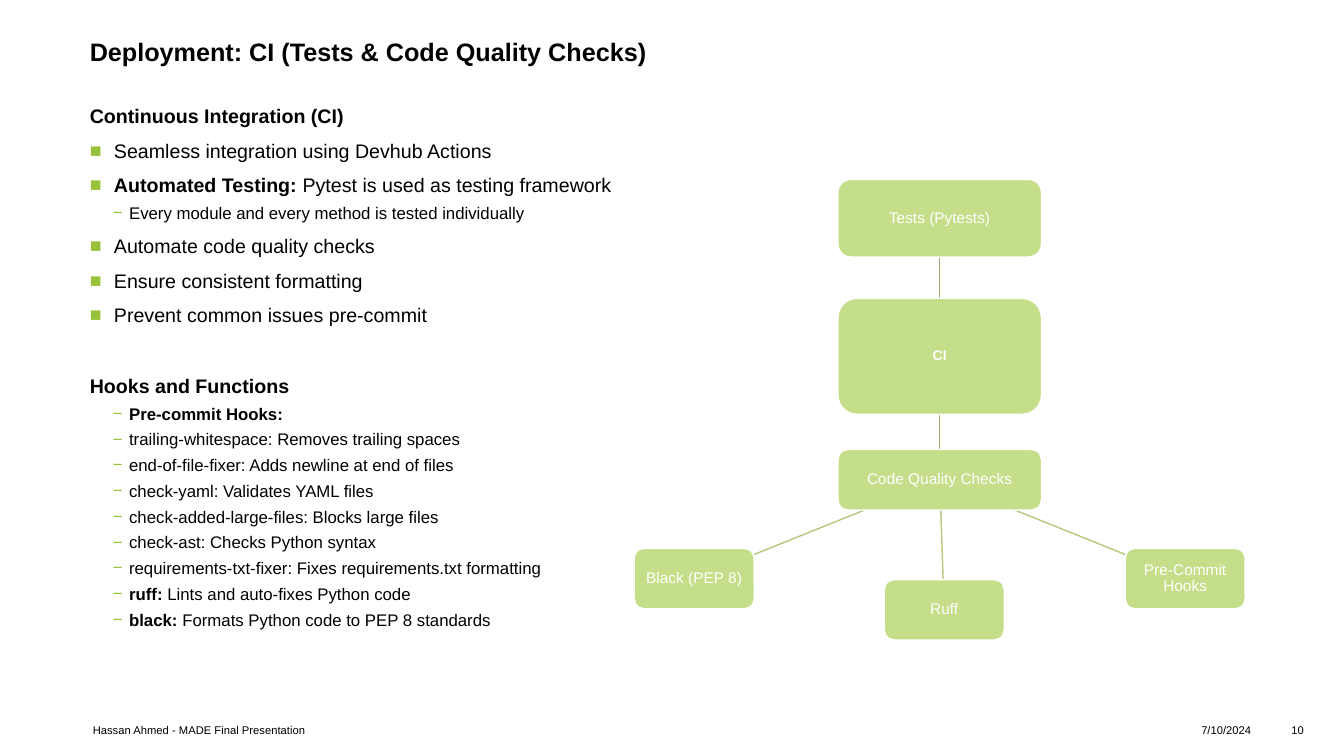
from lxml import etree
from pptx import Presentation
from pptx.dml.color import RGBColor
from pptx.enum.shapes import MSO_CONNECTOR, MSO_SHAPE
from pptx.enum.text import MSO_ANCHOR, MSO_AUTO_SIZE, PP_ALIGN
from pptx.oxml.ns import qn
from pptx.util import Inches, Pt

LEFT, CENTER, RIGHT = PP_ALIGN.LEFT, PP_ALIGN.CENTER, PP_ALIGN.RIGHT
TOP, MIDDLE = MSO_ANCHOR.TOP, MSO_ANCHOR.MIDDLE
NO_FIT = MSO_AUTO_SIZE.NONE
ROUNDED = MSO_SHAPE.ROUNDED_RECTANGLE
STRAIGHT = MSO_CONNECTOR.STRAIGHT

WIDTH, HEIGHT = 13.33, 7.5
MARGIN = 0.89
CONTENT_W = 11.34
POINTS_W = 5.35
BLACK, WHITE = "000000", "FFFFFF"
BULLET, NODE = "97C139", "C5DE89"
TRUNK, BRANCH = "9EB26E", "B3C97C"

# style: size, space before, left indent, hanging indent, bullet
STYLES = {
    "head": (14, 8, 0, 0, None),
    "item": (14, 8, 0.24, 0.24, "■"),
    "sub": (12, 4, 0.39, 0.16, "−"),
}
SECTION_GAP = 34

CI_POINTS = [
    ("head", "Continuous Integration (CI)", ""),
    ("item", "", "Seamless integration using Devhub Actions"),
    ("item", "Automated Testing: ", "Pytest is used as testing framework"),
    ("sub", "", "Every module and every method is tested individually"),
    ("item", "", "Automate code quality checks"),
    ("item", "", "Ensure consistent formatting"),
    ("item", "", "Prevent common issues pre-commit"),
]
HOOK_POINTS = [
    ("head", "Hooks and Functions", ""),
    ("sub", "Pre-commit Hooks:", ""),
    ("sub", "", "trailing-whitespace: Removes trailing spaces"),
    ("sub", "", "end-of-file-fixer: Adds newline at end of files"),
    ("sub", "", "check-yaml: Validates YAML files"),
    ("sub", "", "check-added-large-files: Blocks large files"),
    ("sub", "", "check-ast: Checks Python syntax"),
    ("sub", "", "requirements-txt-fixer: Fixes requirements.txt formatting"),
    ("sub", "ruff: ", "Lints and auto-fixes Python code"),
    ("sub", "black: ", "Formats Python code to PEP 8 standards"),
]


def rgb(color):
    return RGBColor.from_string(color)


def format_run(r, size, color=BLACK, bold=False):
    r.font.name = "Arial"
    r.font.size = Pt(size)
    r.font.bold = bold
    r.font.color.rgb = rgb(color)


def set_frame(tf, inset=0, anchor=TOP):
    tf.word_wrap = True
    tf.auto_size = NO_FIT
    tf.vertical_anchor = anchor
    tf.margin_left = tf.margin_right = Inches(inset)
    tf.margin_top = tf.margin_bottom = Inches(inset)


def set_line(tf, text, size, align, color=BLACK, bold=False):
    tf.text = text
    p = tf.paragraphs[0]
    p.alignment = align
    format_run(p.runs[0], size, color, bold)
    return p


def add_textbox(s, box):
    tf = s.shapes.add_textbox(*map(Inches, box)).text_frame
    set_frame(tf)
    return tf


def set_bullet(p, left, hanging, char):
    pPr = p._p.get_or_add_pPr()
    pPr.set("marL", str(Inches(left)))
    pPr.set("indent", str(-Inches(hanging)))
    if char is None:
        etree.SubElement(pPr, qn("a:buNone"))
        return
    color = etree.SubElement(pPr, qn("a:buClr"))
    etree.SubElement(color, qn("a:srgbClr")).set("val", BULLET)
    etree.SubElement(pPr, qn("a:buFont")).set("typeface", "Arial")
    etree.SubElement(pPr, qn("a:buChar")).set("char", char)


def add_title(s, box, text):
    sp = s.shapes.title
    sp.left, sp.top, sp.width, sp.height = map(Inches, box)
    set_frame(sp.text_frame)
    set_line(sp.text_frame, text, 18, LEFT, bold=True)


def add_points(s, box, sections):
    tf = add_textbox(s, box)
    p = tf.paragraphs[0]
    for number, section in enumerate(sections):
        for row, (style, strong, plain) in enumerate(section):
            if number or row:
                p = tf.add_paragraph()
            size, before, left, hanging, char = STYLES[style]
            p.space_before = Pt(SECTION_GAP if number and not row else before)
            set_bullet(p, left, hanging, char)
            for text, bold in ((strong, True), (plain, False)):
                if text:
                    r = p.add_run()
                    r.text = text
                    format_run(r, size, bold=bold)


def add_node(s, box, text, size=11, bold=False):
    sp = s.shapes.add_shape(ROUNDED, *map(Inches, box))
    sp.shadow.inherit = False
    sp.fill.solid()
    sp.fill.fore_color.rgb = rgb(NODE)
    sp.line.color.rgb = rgb(WHITE)
    sp.line.width = Pt(1)
    set_frame(sp.text_frame, 0.03, MIDDLE)
    p = set_line(sp.text_frame, text, size, CENTER, WHITE, bold)
    p.line_spacing = 0.9


def edge_point(box, target):
    x, y, w, h = box
    cx, cy = x + w / 2, y + h / 2
    dx = target[0] + target[2] / 2 - cx
    dy = target[1] + target[3] / 2 - cy
    share = 1 / max(abs(dx) / (w / 2), abs(dy) / (h / 2))
    return Inches(cx + dx * share), Inches(cy + dy * share)


def add_link(s, start, end, color):
    line = s.shapes.add_connector(
        STRAIGHT, *edge_point(start, end), *edge_point(end, start))
    line.line.color.rgb = rgb(color)
    line.line.width = Pt(1)
    etree.SubElement(line._element.spPr, qn("a:effectLst"))


def add_diagram(s, box):
    x, y, w, h = box
    trunk_w, leaf_w, leaf_h = w / 3, 1.19, 0.6
    trunk_x = x + (w - trunk_w) / 2
    tests = (trunk_x, y, trunk_w, 0.77)
    ci = (trunk_x, y + 1.18, trunk_w, 1.15)
    quality = (trunk_x, y + 2.68, trunk_w, leaf_h)
    black = (x, y + 3.66, leaf_w, leaf_h)
    ruff = (x + 2.48, y + h - leaf_h, leaf_w, leaf_h)
    hooks = (x + w - leaf_w, y + 3.66, leaf_w, leaf_h)

    for end in (tests, quality):
        add_link(s, ci, end, TRUNK)
    for end in (black, ruff, hooks):
        add_link(s, quality, end, BRANCH)

    add_node(s, ci, "CI", 10, True)
    for node, text in ((tests, "Tests (Pytests)"),
                       (quality, "Code Quality Checks"),
                       (black, "Black (PEP 8)"),
                       (ruff, "Ruff"),
                       (hooks, "Pre-Commit Hooks")):
        add_node(s, node, text)


def add_footer(s, box, parts):
    x, y, w, h = box
    for text, share, align in parts:
        width = w * share
        set_line(add_textbox(s, (x, y, width, h)), text, 8, align)
        x += width


def main():
    prs = Presentation()
    prs.slide_width, prs.slide_height = Inches(WIDTH), Inches(HEIGHT)
    s = prs.slides.add_slide(prs.slide_layouts[5])
    add_title(s, (MARGIN, 0.36, CONTENT_W, 0.55),
              "Deployment: CI (Tests & Code Quality Checks)")
    add_points(s, (MARGIN, 1.03, POINTS_W, 5.64), (CI_POINTS, HOOK_POINTS))
    add_diagram(s, (6.29, 1.78, 6.06, 4.57))
    add_footer(s, (0.92, 7.18, 12.41, 0.14), (
        ("Hassan Ahmed - MADE Final Presentation", 0.78, LEFT),
        ("7/10/2024", 0.146, RIGHT),
        ("10", 0.074, CENTER),
    ))
    prs.save("out.pptx")


if __name__ == "__main__":
    main()
